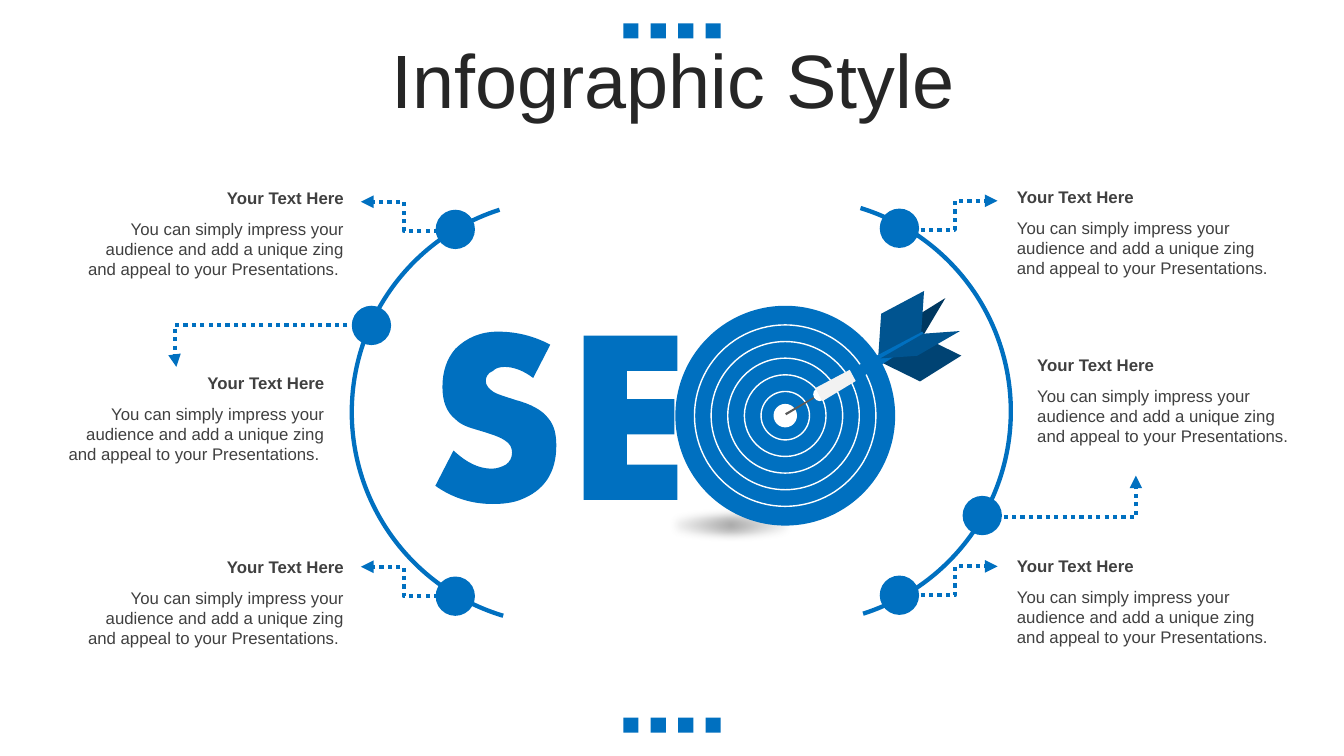
from lxml import etree
from pptx import Presentation
from pptx.dml.color import RGBColor
from pptx.enum import dml, shapes, text
from pptx.oxml import ns, parse_xml
from pptx.util import Pt

BLUE, WHITE, GREY = "0070C0", "FFFFFF", "404040"
SHAPE = shapes.MSO_SHAPE
LEFT, RIGHT = text.PP_ALIGN.LEFT, text.PP_ALIGN.RIGHT
HEADING = "Your Text Here"
BODY = "You can simply impress your audience and add a unique zing and appeal to your Presentations."
STEP, CORNER = ("bentConnector3", 50000), ("bentConnector2", None)
HOOK = ("bentConnector3", 100900)

CALLOUTS = [
    (719.3, 129.6, 204.5, LEFT, (628.4, 149), (651.6, 164.2), (712.6, 143.5), STEP),
    (733.8, 249.6, 195.1, LEFT, (687.6, 354.2), (704.9, 369.4), (811.4, 339.8), CORNER),
    (719.3, 393.1, 204.5, LEFT, (628.4, 411.1), (651.6, 425.3), (712.6, 404.6), STEP),
    (54.7, 130.3, 198, RIGHT, (311.2, 149.8), (319, 165), (257.8, 144.2), STEP),
    (40.8, 262.5, 198, RIGHT, (251.3, 218.4), (254.2, 232), (126, 262.1), HOOK),
    (54.7, 393.8, 198, RIGHT, (311.2, 411.8), (319, 426), (257.8, 404.9), STEP),
]

LETTER_E = [
    (416.9, 239.8), (483.8, 239.8), (483.8, 265), (447.8, 265), (447.8, 285.1), (481.7, 285.1),
    (481.7, 310.3), (447.8, 310.3), (447.8, 331.9), (483.8, 331.9), (483.8, 357.1), (416.9, 357.1),
]

LETTER_S = [
    [(355.7, 236.9)],
    [(368.6, 236.9), (380.9, 239.8), (393.1, 246.2)],
    [(380.9, 270)],
    [(374.4, 265), (367.2, 262.1), (360.7, 262.1)],
    [(357.1, 262.1), (354.2, 262.8), (352.1, 265)],
    [(348.5, 266.4), (347, 269.3), (347, 272.2)],
    [(347, 275), (349.2, 277.9), (352.8, 280.1)],
    [(355, 281.5), (360, 283), (368.6, 285.8)],
    [(379.4, 288.7), (387.4, 293), (391.7, 298.8)],
    [(396, 303.8), (397.4, 310.3), (397.4, 318.2)],
    [(397.4, 337.7), (388.8, 350.6), (371.5, 357.1)],
    [(365.8, 359.3), (358.6, 360), (352.1, 360)],
    [(337, 360), (323.3, 355.7), (311, 347)],
    [(324, 321.8)],
    [(333.4, 330.5), (342, 334.8), (351.4, 334.8)],
    [(355, 334.8), (358.6, 333.4), (361.4, 331.9)],
    [(364.3, 329.8), (365.8, 326.9), (365.8, 323.3)],
    [(365.8, 319.7), (364.3, 316.8), (360.7, 314.6)],
    [(357.8, 312.5), (353.5, 311), (347, 308.9)],
    [(339.8, 306.7), (334.8, 305.3), (333.4, 304.6)],
    [(329.8, 303.1), (327.6, 301.7), (325.4, 299.5)],
    [(319, 294.5), (316.1, 286.6), (316.1, 276.5)],
    [(316.1, 265.7), (319, 256.3), (325.4, 249.1)],
    [(333.4, 241.2), (343.4, 236.9), (355.7, 236.9)],
]


def color(value):
    """Turn a hex string into a colour."""
    return RGBColor.from_string(value)


def paint(shape, fill=None, line=None):
    """Set the fill and outline of a shape and remove its shadow."""
    shape.shadow.inherit = False
    if fill:
        shape.fill.solid()
        shape.fill.fore_color.rgb = color(fill)
    else:
        shape.fill.background()
    if line:
        shape.line.color.rgb = color(line)
        shape.line.width = Pt(1)
    else:
        shape.line.fill.background()


def add_preset(slide, kind, box, fill=None, line=None, rotation=0, flip=False, adjustments=()):
    """Add a preset shape, turned and mirrored as asked."""
    shape = slide.shapes.add_shape(kind, *map(Pt, box))
    paint(shape, fill, line)
    shape.rotation = rotation
    for index, value in enumerate(adjustments):
        shape.adjustments[index] = value
    if flip:
        shape.element.spPr.get_or_add_xfrm().set("flipH", "1")
    return shape


def add_outline(slide, points, fill):
    """Add a closed filled outline through the points."""
    corners = [(Pt(x), Pt(y)) for x, y in points]
    builder = slide.shapes.build_freeform(*corners[0])
    builder.add_line_segments(corners[1:], close=True)
    shape = builder.convert_to_shape()
    paint(shape, fill)
    return shape


def add_curved_outline(slide, segments, fill):
    """Add a closed outline whose three-point segments are cubic curves."""
    shape = add_outline(slide, [segment[-1] for segment in segments], fill)
    sides = list(shape.element.spPr.iter(ns.qn("a:lnTo")))
    for side, segment in zip(sides, segments[1:]):
        if len(segment) == 1:
            continue
        curve = etree.Element(ns.qn("a:cubicBezTo"))
        for x, y in segment:
            etree.SubElement(curve, ns.qn("a:pt"), x=str(Pt(x) - shape.left), y=str(Pt(y) - shape.top))
        side.getparent().replace(side, curve)


def add_text(slide, box, words, size, ink, align, bold=False):
    """Add a wrapped text box holding one run and return its frame."""
    frame = slide.shapes.add_textbox(*map(Pt, box)).text_frame
    frame.word_wrap = True
    paragraph = frame.paragraphs[0]
    paragraph.alignment = align
    run = paragraph.add_run()
    run.text = words
    run.font.name, run.font.size, run.font.bold = "Arial", Pt(size), bold
    run.font.color.rgb = color(ink)
    return frame


def add_arrow(slide, start, end, preset, bend):
    """Add a dotted elbow arrow."""
    arrow = slide.shapes.add_connector(shapes.MSO_CONNECTOR.ELBOW, *map(Pt, start + end))
    arrow.line.color.rgb = color(BLUE)
    arrow.line.width = Pt(3)
    arrow.line.dash_style = dml.MSO_LINE.ROUND_DOT
    properties = arrow._element.spPr
    geometry = properties.find(ns.qn("a:prstGeom"))
    geometry.set("prst", preset)
    if bend:
        guides = geometry.find(ns.qn("a:avLst"))
        etree.SubElement(guides, ns.qn("a:gd"), name="adj1", fmla=f"val {bend}")
    etree.SubElement(arrow.line._get_or_add_ln(), ns.qn("a:tailEnd"), type="triangle")
    etree.SubElement(properties, ns.qn("a:effectLst"))


def add_callout(slide, left, top, width, align, dot, start, end, elbow):
    """Add a heading, its text, the arrow and the dot on the arc."""
    body = BODY + " " if align == RIGHT else BODY
    captions = ((body, top + 22.2, 51.1, False), (HEADING, top, 21.6, True))
    for words, caption_top, height, bold in captions:
        frame = add_text(slide, (left, caption_top, width, height), words, 12, GREY, align, bold)
        frame.auto_size = text.MSO_AUTO_SIZE.SHAPE_TO_FIT_TEXT
    add_arrow(slide, start, end, *elbow)
    add_preset(slide, SHAPE.OVAL, (*dot, 28.1, 28.1), BLUE, flip=True)


def add_ground_shadow(slide):
    """Add the soft grey spot under the target."""
    spot = add_preset(slide, SHAPE.OVAL, (450.7, 362.9, 143.3, 24.5), "808080")
    properties = spot.element.spPr
    stops = "".join(
        f'<a:gs pos="{place}"><a:srgbClr val="808080"><a:alpha val="{alpha}"/></a:srgbClr></a:gs>'
        for place, alpha in ((0, 65000), (65000, 0), (100000, 0)))
    gradient = parse_xml(
        f'<a:gradFill {ns.nsdecls("a")} rotWithShape="1"><a:gsLst>{stops}</a:gsLst><a:path path="circle">'
        '<a:fillToRect l="50000" t="50000" r="50000" b="50000"/></a:path></a:gradFill>')
    properties.replace(properties.find(ns.qn("a:solidFill")), gradient)
    etree.SubElement(properties.find(ns.qn("a:effectLst")), ns.qn("a:softEdge"), rad=str(Pt(6)))


def add_target(slide):
    """Add the round target with its rings and bullseye."""
    circles = [(157, BLUE, None)]
    circles += [(129.6 - 23.75 * ring, None, WHITE) for ring in range(5)]
    circles.append((15.8, WHITE, WHITE))
    for size, fill, line in circles:
        add_preset(slide, SHAPE.OVAL, (560.9 - size / 2, 296.9 - size / 2, size, size), fill, line)


def add_dart(slide):
    """Add the dart with its needle, shaft, barrel and flights."""
    flight = SHAPE.PARALLELOGRAM
    add_preset(slide, flight, (616.3, 229.7, 67.7, 13.7), "003860", None, 148.2, False, [1.922])
    add_outline(slide, [(560.9, 295.2), (586.1, 280.8), (586.8, 281.5), (561.6, 296.6)], "595959")
    add_preset(slide, flight, (633.4, 244.1, 50.4, 25.2), "004373", None, 148, True, [0.623])
    add_preset(slide, flight, (618.5, 218.2, 50.4, 25.2), "005490", None, 152, False, [0.623])
    add_outline(slide, [(607, 264.2), (658.8, 236.9), (661, 240.5), (611.3, 272.2)], BLUE)
    add_preset(slide, SHAPE.CHORD, (581, 277.2, 8.6, 9.4), WHITE, None, 330, False, [53.912, 162])
    add_outline(slide, [(582.5, 277.2), (607, 264.2), (611.3, 272.2), (587.5, 286.6)], "F2F2F2")
    add_preset(slide, flight, (627.8, 240.5, 59, 11.5), "005490", None, 150, True, [2.059])


def main():
    """Build the slide and save it."""
    presentation = Presentation()
    presentation.slide_width, presentation.slide_height = Pt(960), Pt(540)
    slide = presentation.slides.add_slide(presentation.slide_layouts[6])
    for top in (16.6, 512.6):
        for column in range(4):
            add_preset(slide, SHAPE.RECTANGLE, (445.2 + 19.6 * column, top, 10.8, 10.8), BLUE)
    title = add_text(slide, (25.2, 31.7, 911.5, 56.9), "Infographic Style", 54, "262626", text.PP_ALIGN.CENTER)
    title.vertical_anchor = text.MSO_ANCHOR.MIDDLE
    title.paragraphs[0].line_spacing = 0.9
    title.paragraphs[0].runs[0].font._element.set("kern", "1200")
    add_ground_shadow(slide)
    add_target(slide)
    add_dart(slide)
    add_outline(slide, LETTER_E, BLUE)
    add_curved_outline(slide, LETTER_S, BLUE)
    for left, top, rotation, end in ((416.9, 140.4, 90, 205.79), (249.8, 141.1, 270, 205.97)):
        add_preset(slide, SHAPE.BLOCK_ARC, (left, top, 306.7, 306.7), BLUE, None, rotation, True,
                   [118.65, end, 0.01])
    for callout in CALLOUTS:
        add_callout(slide, *callout)
    presentation.save("out.pptx")


if __name__ == "__main__":
    main()
